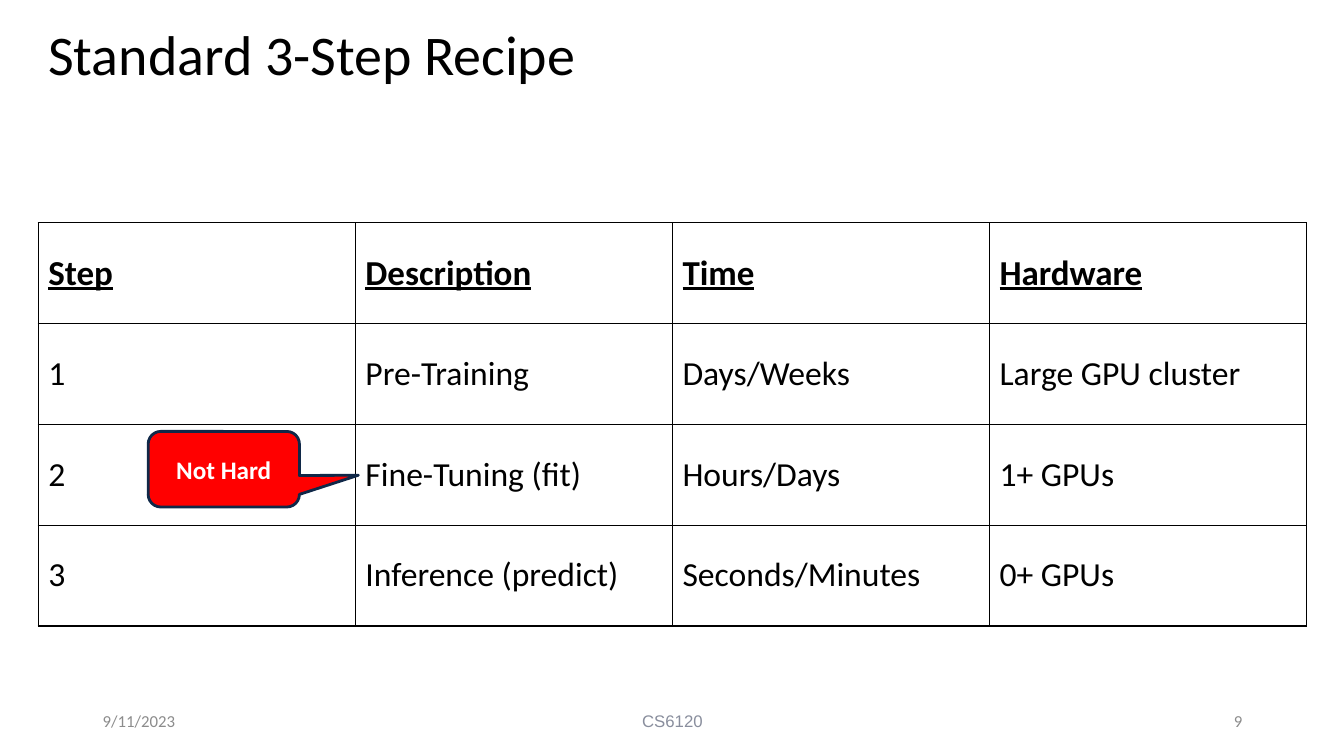
from lxml import etree
from pptx import Presentation
from pptx.dml.color import RGBColor
from pptx.enum.shapes import MSO_SHAPE
from pptx.enum.text import MSO_ANCHOR, PP_ALIGN
from pptx.oxml.ns import qn
from pptx.util import Inches, Pt

CALLOUT = MSO_SHAPE.ROUNDED_RECTANGULAR_CALLOUT
MIDDLE = MSO_ANCHOR.MIDDLE
LEFT, CENTER, RIGHT = PP_ALIGN.LEFT, PP_ALIGN.CENTER, PP_ALIGN.RIGHT

COLORS = {
    "black": "000000",
    "white": "FFFFFF",
    "red": "FF0000",
    "navy": "102848",
    "gray": "8C8C8C",
    "slate": "898E9D",
}

RECIPE = [
    ["Step", "Description", "Time", "Hardware"],
    ["1", "Pre-Training", "Days/Weeks", "Large GPU cluster"],
    ["2", "Fine-Tuning (fit)", "Hours/Days", "1+ GPUs"],
    ["3", "Inference (predict)", "Seconds/Minutes", "0+ GPUs"],
]


def rgb(name):
    return RGBColor.from_string(COLORS[name])


def write(tf, text, size, color, font="Calibri", align=LEFT, bold=False, underline=False):
    p = tf.paragraphs[0]
    p.text = text
    p.alignment = align
    p.font.size = Pt(size)
    p.font.name = font
    p.font.color.rgb = rgb(color)
    p.font.bold = bold
    p.font.underline = underline
    return p


def add_text(s, box, text, size, color, **style):
    tf = s.shapes.add_textbox(*map(Inches, box)).text_frame
    tf.word_wrap = True
    tf.vertical_anchor = MIDDLE
    return write(tf, text, size, color, **style)


def add_borders(cell, color, width):
    tcPr = cell._tc.get_or_add_tcPr()
    for side in ("lnL", "lnR", "lnT", "lnB"):
        ln = etree.SubElement(tcPr, qn(f"a:{side}"), w=str(Pt(width)))
        fill = etree.SubElement(ln, qn("a:solidFill"))
        etree.SubElement(fill, qn("a:srgbClr"), val=COLORS[color])


def add_grid(s, box, rows):
    frame = s.shapes.add_table(len(rows), len(rows[0]), *map(Inches, box))
    table = frame.table
    table.first_row = False
    table.horz_banding = False
    for i, row in enumerate(rows):
        header = i == 0
        for j, text in enumerate(row):
            cell = table.cell(i, j)
            add_borders(cell, "black", 1)
            cell.fill.background()
            cell.vertical_anchor = MIDDLE
            cell.margin_left = cell.margin_right = Inches(0.1)
            cell.margin_top = cell.margin_bottom = Inches(0.1)
            write(cell.text_frame, text, 25 if header else 24, "black",
                  bold=header, underline=header)


def add_callout(s, box, text, tip):
    sp = s.shapes.add_shape(CALLOUT, *map(Inches, box))
    sp.shadow.inherit = False
    sp.adjustments[0], sp.adjustments[1] = tip
    sp.fill.solid()
    sp.fill.fore_color.rgb = rgb("red")
    sp.line.color.rgb = rgb("navy")
    sp.line.width = Pt(2)
    sp.text_frame.vertical_anchor = MIDDLE
    write(sp.text_frame, text, 18, "white", align=CENTER, bold=True)


def main():
    prs = Presentation()
    prs.slide_width = Inches(13.33)
    prs.slide_height = Inches(7.5)
    s = prs.slides.add_slide(prs.slide_layouts[6])

    add_grid(s, (0.38, 2.21, 12.58, 4), RECIPE)
    title = add_text(s, (0.38, 0.16, 12.58, 0.82), "Standard 3-Step Recipe", 40, "black")
    title.line_spacing = 0.9
    add_callout(s, (1.47, 4.28, 1.5, 0.75), "Not Hard", (0.89, 0.08))

    add_text(s, (0.92, 6.95, 3, 0.4), "9/11/2023", 12, "gray")
    add_text(s, (4.42, 6.95, 4.5, 0.4), "CS6120", 12, "slate", font="Arial", align=CENTER)
    add_text(s, (9.42, 6.95, 3, 0.4), "9", 12, "gray", align=RIGHT)

    prs.save("out.pptx")


if __name__ == "__main__":
    main()
